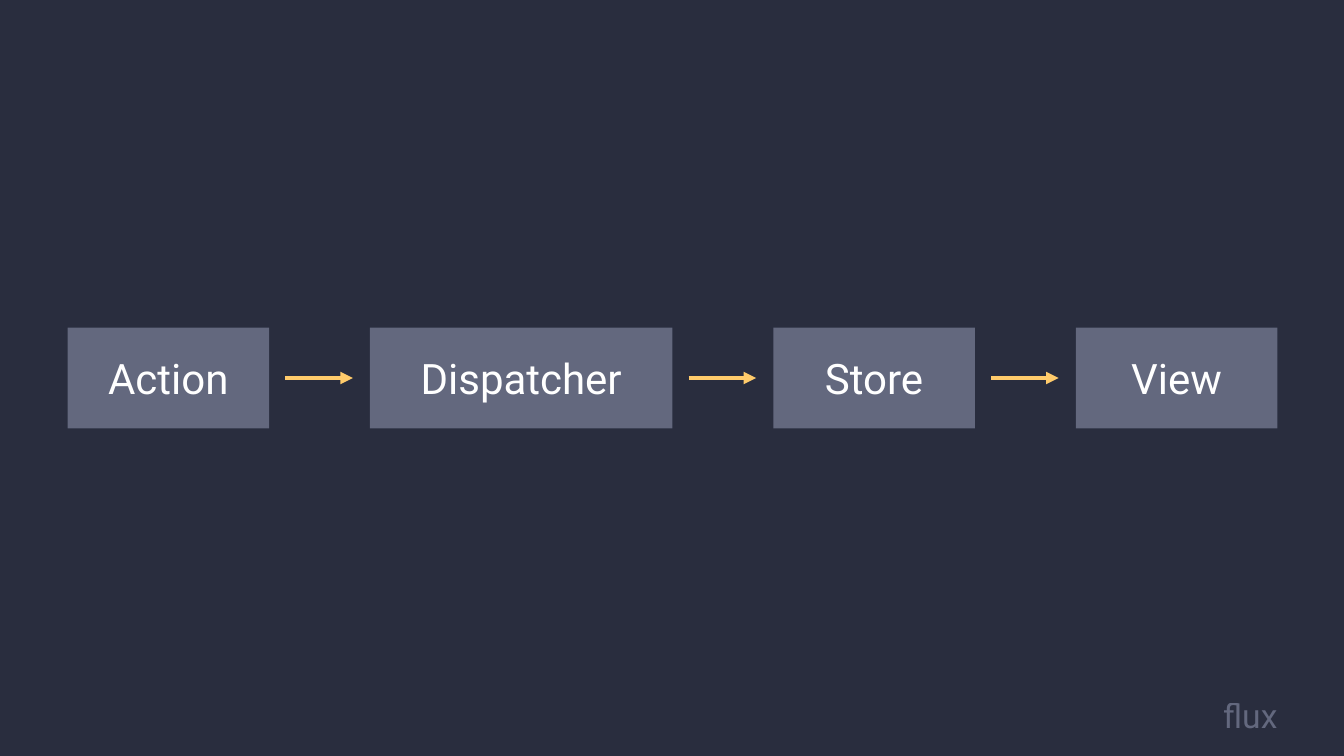
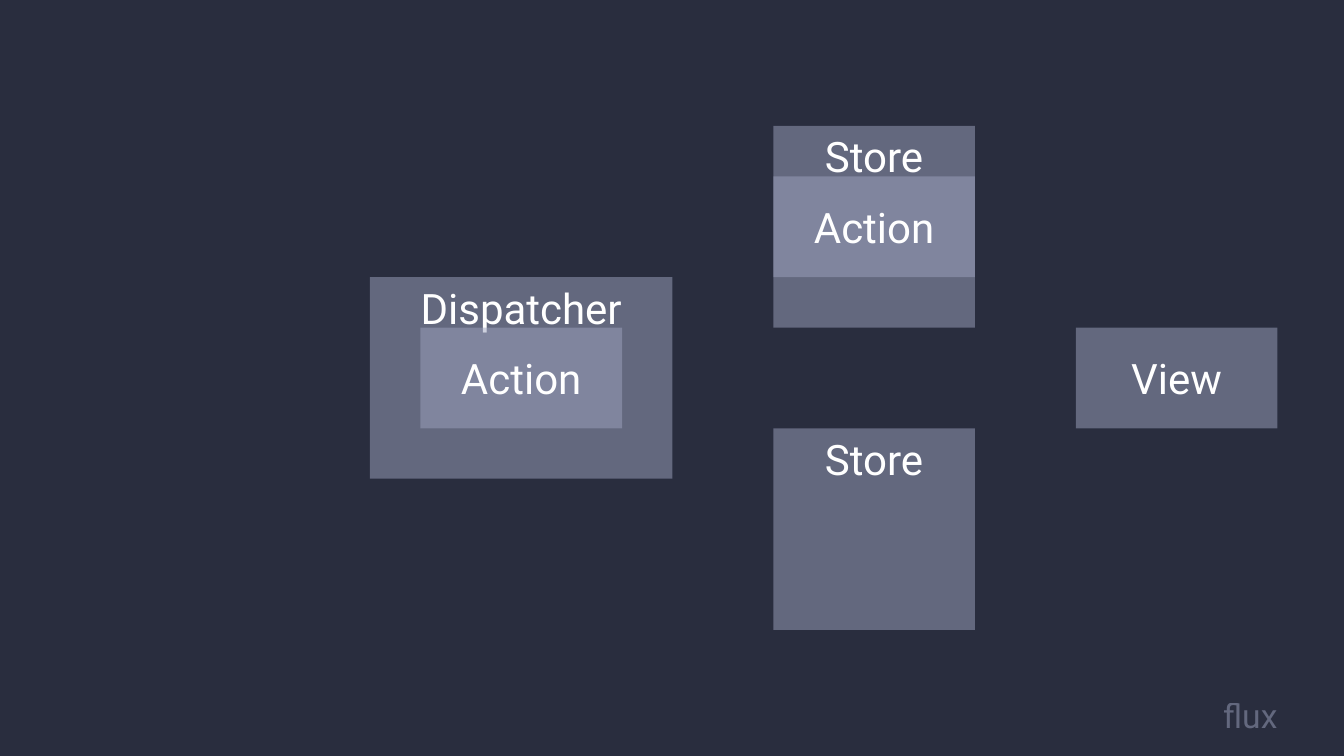
from lxml import etree
from pptx import Presentation
from pptx.dml.color import RGBColor
from pptx.enum.shapes import MSO_CONNECTOR, MSO_SHAPE
from pptx.enum.text import MSO_ANCHOR, PP_ALIGN
from pptx.oxml.ns import qn
from pptx.util import Inches, Pt

RECTANGLE = MSO_SHAPE.RECTANGLE
STRAIGHT = MSO_CONNECTOR.STRAIGHT
TOP, MIDDLE = MSO_ANCHOR.TOP, MSO_ANCHOR.MIDDLE
CENTER, RIGHT = PP_ALIGN.CENTER, PP_ALIGN.RIGHT

COLORS = {"background": "292D3E", "block": "9DA3BE", "label": "FFFFFF", "arrow": "FFCB6B"}
FONT = "Roboto"
SLIDE_WIDTH, SLIDE_HEIGHT = 13.33, 7.5
MARGIN = 0.67
CONTENT_WIDTH = 12
GAP = 1
BLOCK_HEIGHT = 1
STORE_HEIGHT = 2
ARROW_INSET, ARROW_LENGTH = 0.16, 0.67
STAGES = [("Action", 2), ("Dispatcher", 3), ("Store", 2), ("View", 2)]


def paint(fill, color, half=False):
    """Set a solid colour, optionally half transparent."""
    fill.solid()
    fill.fore_color.rgb = RGBColor.from_string(COLORS[color])
    if half:
        color_element = fill._xPr.find(".//" + qn("a:srgbClr"))
        etree.SubElement(color_element, qn("a:alpha"), val="50000")


def write(shape, text, size=30, color="label", half=False, align=CENTER, anchor=MIDDLE):
    frame = shape.text_frame
    frame.word_wrap = True
    frame.vertical_anchor = anchor
    paragraph = frame.paragraphs[0]
    paragraph.alignment = align
    run = paragraph.add_run()
    run.text = text
    run.font.name = FONT
    run.font.size = Pt(size)
    paint(run.font.fill, color, half)
    return paragraph


def add_block(slide, text, left, top, width, height, anchor=MIDDLE):
    shape = slide.shapes.add_shape(
        RECTANGLE, Inches(left), Inches(top), Inches(width), Inches(height))
    shape.shadow.inherit = False
    paint(shape.fill, "block", half=True)
    shape.line.fill.background()
    write(shape, text, anchor=anchor)


def add_arrow(slide, left, middle):
    arrow = slide.shapes.add_connector(
        STRAIGHT, Inches(left), Inches(middle), Inches(left + ARROW_LENGTH), Inches(middle))
    arrow.line.width = Pt(3)
    paint(arrow.line.fill, "arrow")
    etree.SubElement(arrow.line._get_or_add_ln(), qn("a:tailEnd"), type="triangle")
    etree.SubElement(arrow._element.spPr, qn("a:effectLst"))


def add_footer(slide, text):
    box = slide.shapes.add_textbox(
        Inches(MARGIN), Inches(6.91), Inches(CONTENT_WIDTH), Inches(0.42))
    box.text_frame.margin_left = box.text_frame.margin_right = 0
    paragraph = write(box, text, size=24, color="block", half=True, align=RIGHT)
    paragraph.line_spacing = 0.9
    paragraph.space_before = Pt(10)


def add_slide(presentation):
    slide = presentation.slides.add_slide(presentation.slide_layouts[6])
    paint(slide.background.fill, "background")
    add_footer(slide, "flux")
    return slide


def stage_columns(left):
    """Give the left edge and width of each stage, with equal gaps."""
    columns = {}
    for name, width in STAGES:
        columns[name] = (left, width)
        left += width + GAP
    return columns


def add_flow(slide, left, middle):
    """One row of stages with an arrow in every gap."""
    for index, (name, (start, width)) in enumerate(stage_columns(left).items()):
        add_block(slide, name, start, middle - BLOCK_HEIGHT / 2, width, BLOCK_HEIGHT)
        if index < len(STAGES) - 1:
            add_arrow(slide, start + width + ARROW_INSET, middle)


def add_container(slide, name, column, middle, holds_action=False):
    """A tall stage titled at its top, with an action centred inside if held."""
    left, width = column
    add_block(slide, name, left, middle - STORE_HEIGHT / 2, width, STORE_HEIGHT, anchor=TOP)
    if holds_action:
        action_width = STAGES[0][1]
        add_block(slide, "Action", left + (width - action_width) / 2,
                  middle - BLOCK_HEIGHT / 2, action_width, BLOCK_HEIGHT)


def add_dispatch(slide, left, middle):
    """A dispatcher passing an action on to two stores beside the view."""
    columns = stage_columns(left)
    store_offset = (STORE_HEIGHT + GAP) / 2
    add_container(slide, "Dispatcher", columns["Dispatcher"], middle, holds_action=True)
    add_container(slide, "Store", columns["Store"], middle - store_offset, holds_action=True)
    add_container(slide, "Store", columns["Store"], middle + store_offset)
    view_left, view_width = columns["View"]
    add_block(slide, "View", view_left, middle - BLOCK_HEIGHT / 2, view_width, BLOCK_HEIGHT)


presentation = Presentation()
presentation.slide_width = Inches(SLIDE_WIDTH)
presentation.slide_height = Inches(SLIDE_HEIGHT)
for add_diagram in (add_flow, add_dispatch):
    add_diagram(add_slide(presentation), MARGIN, SLIDE_HEIGHT / 2)
presentation.save("out.pptx")
